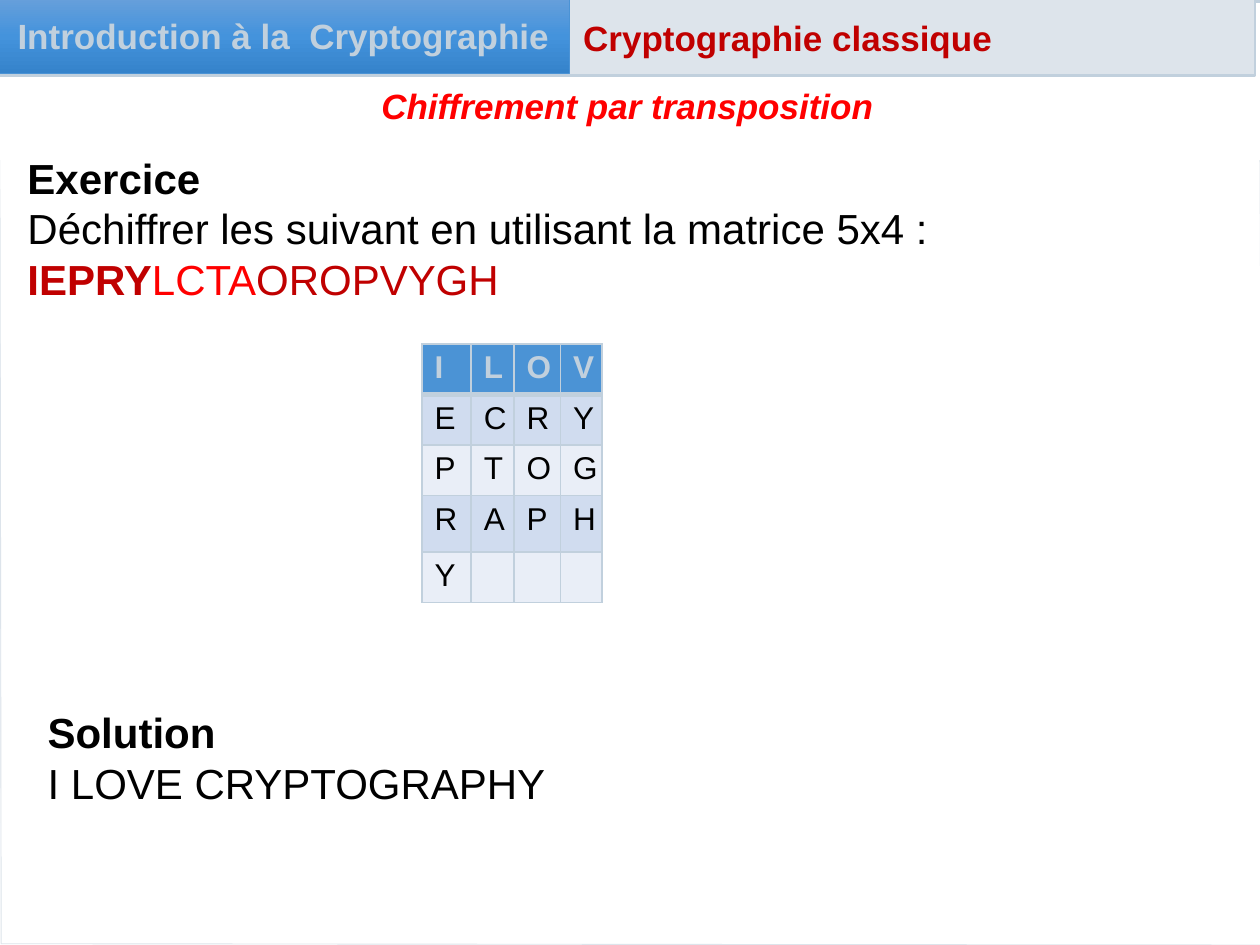
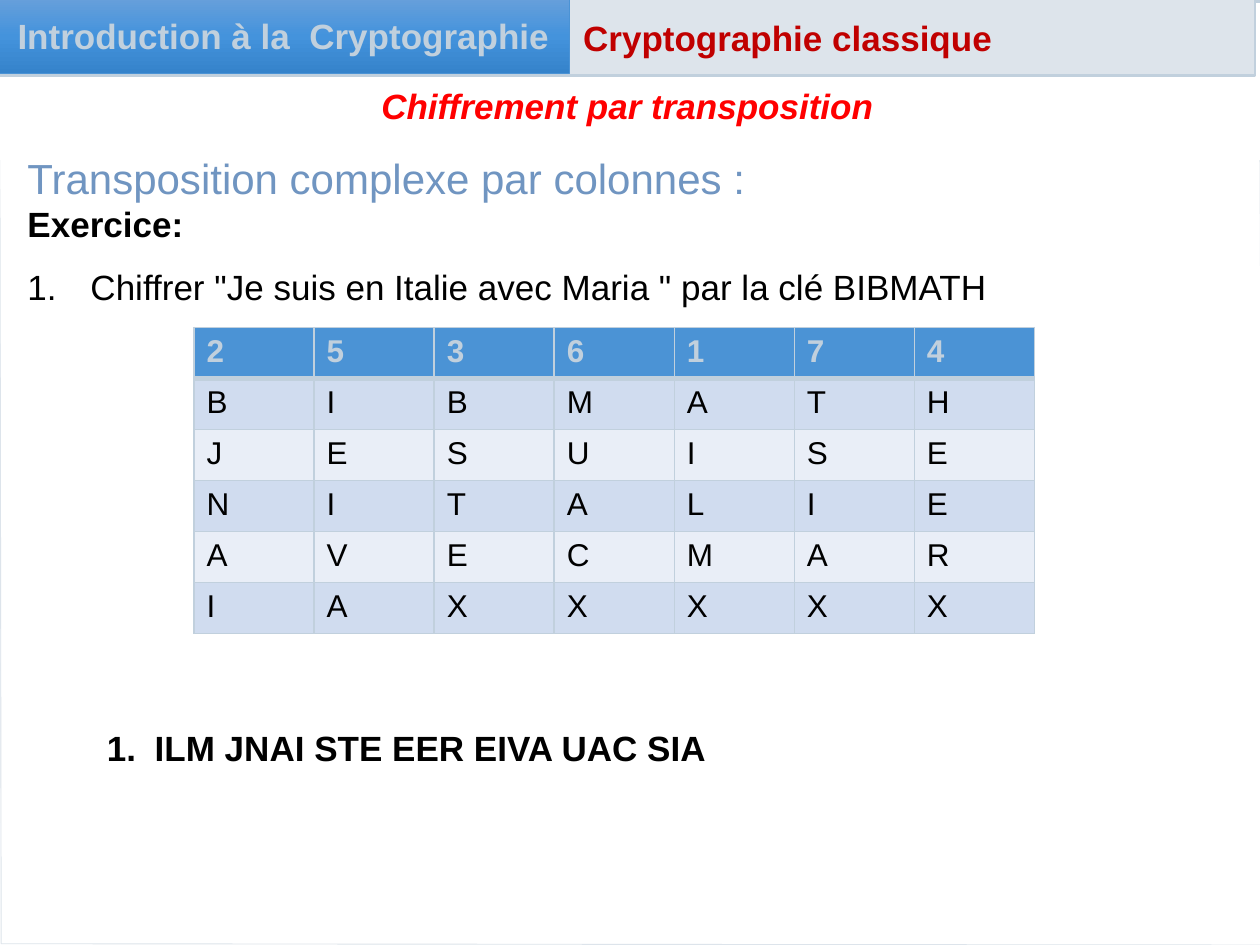
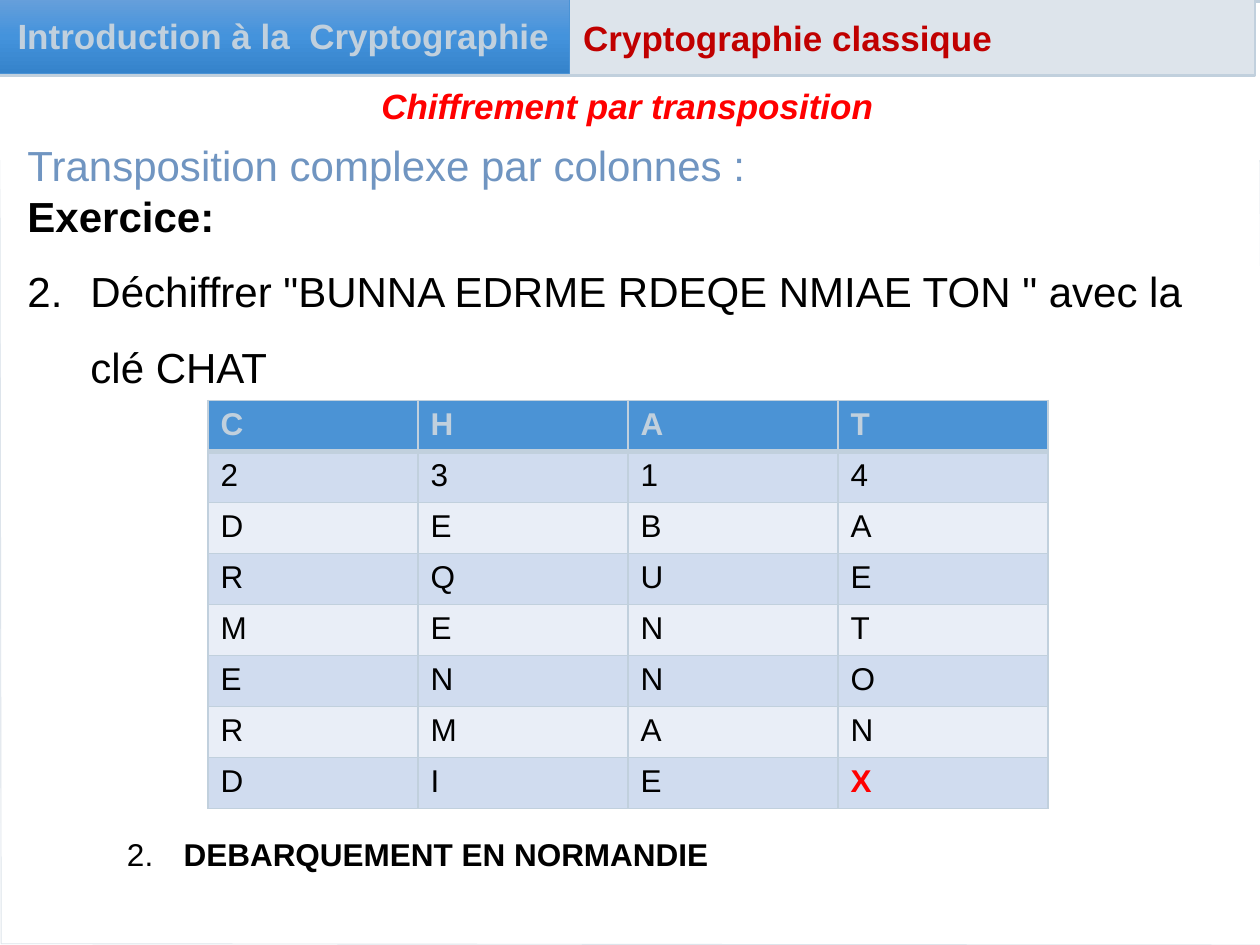
from dataclasses import dataclass
from typing import Any

from lxml.etree import SubElement
from pptx import Presentation
from pptx.dml.color import RGBColor
from pptx.enum.shapes import MSO_SHAPE
from pptx.enum.text import MSO_ANCHOR, MSO_AUTO_SIZE, PP_ALIGN
from pptx.oxml.ns import qn
from pptx.util import Inches, Pt

COLORS = {
    "white": "FFFFFF", "black": "000000", "red": "FF0000", "dark red": "C00000",
    "heading": "7095C1", "pale": "C1D0DD", "band": "DDE4EB", "table head": "4B93D5",
    "odd row": "D0DCEF", "even row": "E9EEF7",
    "label top": "669FDB", "label middle": "4493DC", "label bottom": "3583CB",
}

FORMATS: dict[str, dict[str, Any]] = {
    "large": {"size": Pt(24), "bold": False},
    "large bold": {"size": Pt(24), "bold": True},
    "medium": {"size": Pt(20), "bold": False},
    "medium bold": {"size": Pt(20), "bold": True},
    "title": {"size": Pt(20), "bold": True, "italic": True},
    "small": {"size": Pt(18), "bold": False},
    "small bold": {"size": Pt(18), "bold": True},
}

PAGE_OUTLINE = [(0.01, 7.49), (10.03, 7.5), (10, 1.21), (0, 1.21)]
WAVE_OUTLINE = [
    (9.98, 0.77), (4.26, 0.76), (4.08, 0.77), (3.78, 0.91), (3.56, 0.96), (0, 0.95),
    (0, 1.5), (6.26, 1.5), (6.38, 1.47), (6.74, 1.31), (6.92, 1.3), (9.99, 1.3),
]


@dataclass(frozen=True)
class Area:
    left: float
    top: float
    width: float
    height: float

    def lengths(self) -> list[int]:
        return [Inches(side) for side in (self.left, self.top, self.width, self.height)]


@dataclass(frozen=True)
class Span:
    text: str
    style: str
    color: str = "black"


@dataclass(frozen=True)
class Para:
    spans: tuple[Span, ...]
    number: int = 0
    indent: float = 0
    spacing: float | None = None
    align: PP_ALIGN | None = None


@dataclass(frozen=True)
class TextBlock:
    area: Area
    paras: tuple[Para, ...]


@dataclass(frozen=True)
class LetterGrid:
    """A table with one character per cell; each row is a string."""
    left: float
    top: float
    widths: tuple[float, ...]
    heights: tuple[float, ...]
    rows: tuple[str, ...]
    accent: tuple[int, int] | None = None


@dataclass(frozen=True)
class Exercise:
    statement: TextBlock
    grid: LetterGrid
    solution: TextBlock


def line(text: str, style: str, color: str = "black", **options: Any) -> Para:
    return Para((Span(text, style, color),), **options)


TITLE = TextBlock(Area(0, 0.62, 9.96, 0.44), (
    line("Chiffrement par transposition", "title", "red", align=PP_ALIGN.CENTER),))
CHAPTER = TextBlock(Area(4.53, 0.08, 4.57, 0.44), (
    line("Cryptographie classique", "medium bold", "dark red"),))
COURSE = line("Introduction à la  Cryptographie", "medium bold", "pale", align=PP_ALIGN.CENTER)
COLUMNS_HEADING = line("Transposition complexe par colonnes :", "large", "heading")

EXERCISES = [
    Exercise(
        TextBlock(Area(0.12, 1.16, 9.84, 1.72), (
            line("Exercice", "large bold"),
            line("Déchiffrer les suivant en utilisant la matrice 5x4 :", "large"),
            Para((Span("IEPRY", "large bold", "dark red"), Span("LCTA", "large", "red"),
                  Span("OROPVYGH", "large", "dark red"))),
        )),
        LetterGrid(3.35, 2.73, (0.39, 0.34, 0.37, 0.33), (0.4, 0.4, 0.4, 0.45, 0.4),
                   ("ILOV", "ECRY", "PTOG", "RAPH", "Y")),
        TextBlock(Area(0.28, 5.56, 8.5, 1.21), (
            line("Solution", "large bold"),
            line("I LOVE CRYPTOGRAPHY", "large"),
        )),
    ),
    Exercise(
        TextBlock(Area(0.12, 1.16, 9.84, 1.35), (
            COLUMNS_HEADING,
            line("Exercice:", "medium bold"),
            line('Chiffrer "Je suis en Italie avec Maria " par la clé BIBMATH', "medium",
                 number=1, indent=0.5, spacing=1.5),
        )),
        LetterGrid(1.54, 2.6, (6.67 / 7,) * 7, (2.43 / 6,) * 6,
                   ("2536174", "BIBMATH", "JESUISE", "NITALIE", "AVECMAR", "IAXXXXX")),
        TextBlock(Area(0.75, 5.72, 7.24, 0.44), (
            line("ILM JNAI STE EER EIVA UAC SIA", "medium bold", number=1, indent=0.38),)),
    ),
    Exercise(
        TextBlock(Area(0.12, 1.06, 9.84, 2.12), (
            COLUMNS_HEADING,
            line("Exercice:", "large bold"),
            line('Déchiffrer "BUNNA EDRME RDEQE NMIAE TON " avec la clé CHAT', "large",
                 number=2, indent=0.5, spacing=1.5),
        )),
        LetterGrid(1.65, 3.18, (6.67 / 4,) * 4, (3.24 / 8,) * 8,
                   ("CHAT", "2314", "DEBA", "RQUE", "MENT", "ENNO", "RMAN", "DIEX"),
                   accent=(7, 3)),
        TextBlock(Area(0.91, 6.58, 8.66, 0.71), (
            Para((Span(" ", "small"), Span("DEBARQUEMENT EN NORMANDIE", "small bold")),
                 number=2, indent=0.38),)),
    ),
]


def rgb(name: str) -> RGBColor:
    return RGBColor.from_string(COLORS[name])


def paint(shape, fill: str, outline: str | None = None, weight: float = 1) -> None:
    shape.shadow.inherit = False
    shape.fill.solid()
    shape.fill.fore_color.rgb = rgb(fill)
    if outline is None:
        shape.line.fill.background()
    else:
        shape.line.color.rgb = rgb(outline)
        shape.line.width = Pt(weight)


def paint_gradient(fill, owner, names: list[str]) -> None:
    """Fill from top to bottom with evenly spaced colours; owner holds the fill's XML."""
    fill.gradient()
    fill.gradient_angle = 270
    stops = owner.find(f".//{qn('a:gsLst')}")
    for stop in list(stops):
        stops.remove(stop)
    for index, name in enumerate(names):
        position = 100000 * index // (len(names) - 1)
        stop = SubElement(stops, qn("a:gs"), pos=str(position))
        SubElement(stop, qn("a:srgbClr"), val=COLORS[name])


def write_span(paragraph, span: Span) -> None:
    run = paragraph.add_run()
    run.text = span.text
    run.font.name = "Arial"
    run.font.color.rgb = rgb(span.color)
    for attribute, value in FORMATS[span.style].items():
        setattr(run.font, attribute, value)


def write_paras(frame, paras: tuple[Para, ...]) -> None:
    frame.word_wrap = True
    for index, para in enumerate(paras):
        paragraph = frame.add_paragraph() if index else frame.paragraphs[0]
        paragraph.alignment = para.align or PP_ALIGN.LEFT
        if para.spacing:
            paragraph.line_spacing = para.spacing
        if para.number:
            properties = paragraph._p.get_or_add_pPr()
            properties.set("marL", str(Inches(para.indent)))
            properties.set("indent", str(-Inches(para.indent)))
            SubElement(properties, qn("a:buFont"), typeface="+mj-lt")
            SubElement(properties, qn("a:buAutoNum"), type="arabicPeriod",
                       startAt=str(para.number))
        for span in para.spans:
            write_span(paragraph, span)


def fill_box(box, block: TextBlock) -> None:
    for side, value in zip(("left", "top", "width", "height"), block.area.lengths()):
        setattr(box, side, value)
    frame = box.text_frame
    frame.vertical_anchor = MSO_ANCHOR.TOP
    frame.auto_size = MSO_AUTO_SIZE.SHAPE_TO_FIT_TEXT
    write_paras(frame, block.paras)


def add_text(page, block: TextBlock) -> None:
    fill_box(page.shapes.add_textbox(*block.area.lengths()), block)


def add_rectangle(page, area: Area):
    return page.shapes.add_shape(MSO_SHAPE.RECTANGLE, *area.lengths())


def add_outline(page, points: list[tuple[float, float]]):
    vertices = [(Inches(x), Inches(y)) for x, y in points]
    builder = page.shapes.build_freeform(*vertices[0])
    builder.add_line_segments(vertices[1:], close=True)
    return builder.convert_to_shape()


def add_frame(page) -> None:
    """Draw the background, the header bands and the title."""
    paint_gradient(page.background.fill, page.element, ["pale", "white"])
    paint(add_outline(page, PAGE_OUTLINE), "white", "band", 0.5)
    wave = add_outline(page, WAVE_OUTLINE)
    paint(wave, "white")
    wave_color = wave.element.find(f".//{qn('a:solidFill')}/{qn('a:srgbClr')}")
    SubElement(wave_color, qn("a:alpha"), val="50000")
    paint(add_rectangle(page, Area(0, 0.03, 10, 1.23)), "white", "white")
    paint(add_rectangle(page, Area(-0.02, -0.03, 9.98, 0.63)), "band", "pale", 1.5)
    add_text(page, CHAPTER)

    label = add_rectangle(page, Area(-0.02, -0.01, 4.54, 0.59))
    paint(label, "label middle", "table head", 0.5)
    paint_gradient(label.fill, label.element, ["label top", "label middle", "label bottom"])
    label.text_frame.vertical_anchor = MSO_ANCHOR.MIDDLE
    write_paras(label.text_frame, (COURSE,))

    title = page.shapes.title
    fill_box(title, TITLE)
    title.element.getparent().append(title.element)  # in front of the bands


def add_borders(cell, row: int) -> None:
    """Outline the cell, with a thick rule between the header and the body."""
    weights = {"L": 1, "R": 1, "T": 3 if row == 1 else 1, "B": 3 if row == 0 else 1}
    properties = cell._tc.get_or_add_tcPr()
    for side, weight in weights.items():
        border = SubElement(properties, qn(f"a:ln{side}"), w=str(Pt(weight)))
        SubElement(SubElement(border, qn("a:solidFill")), qn("a:srgbClr"), val=COLORS["pale"])


def add_grid(page, grid: LetterGrid) -> None:
    area = Area(grid.left, grid.top, sum(grid.widths), sum(grid.heights))
    table = page.shapes.add_table(len(grid.rows), len(grid.widths), *area.lengths()).table
    for column, width in zip(table.columns, grid.widths):
        column.width = Inches(width)
    for table_row, height in zip(table.rows, grid.heights):
        table_row.height = Inches(height)
    for row, letters in enumerate(grid.rows):
        for column in range(len(grid.widths)):
            cell = table.cell(row, column)
            add_borders(cell, row)
            cell.fill.solid()
            body_fill = "odd row" if row % 2 else "even row"
            cell.fill.fore_color.rgb = rgb(body_fill if row else "table head")
            if column >= len(letters):
                continue
            style, color = ("small", "black") if row else ("small bold", "pale")
            if (row, column) == grid.accent:
                style, color = "small bold", "red"
            write_span(cell.text_frame.paragraphs[0], Span(letters[column], style, color))


def main() -> None:
    deck = Presentation()
    deck.slide_width, deck.slide_height = Inches(10), Inches(7.5)
    title_only = deck.slide_layouts[5]
    for exercise in EXERCISES:
        page = deck.slides.add_slide(title_only)
        add_frame(page)
        add_text(page, exercise.statement)
        add_grid(page, exercise.grid)
        add_text(page, exercise.solution)
    deck.save("out.pptx")


if __name__ == "__main__":
    main()
